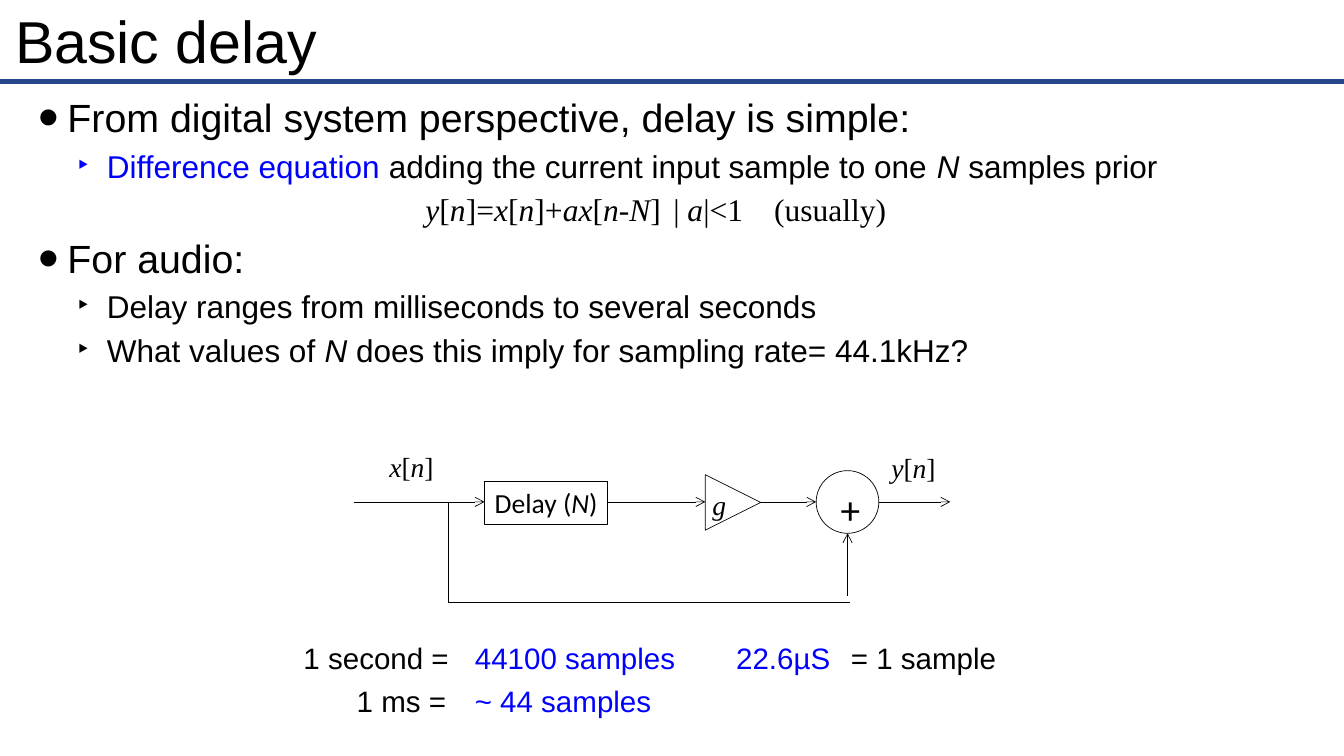
from lxml import etree
from pptx import Presentation
from pptx.dml.color import RGBColor
from pptx.enum.shapes import MSO_CONNECTOR, MSO_SHAPE
from pptx.enum.text import MSO_ANCHOR, PP_ALIGN
from pptx.oxml.ns import qn
from pptx.util import Pt

STRAIGHT = MSO_CONNECTOR.STRAIGHT
RECTANGLE, OVAL, TRIANGLE = MSO_SHAPE.RECTANGLE, MSO_SHAPE.OVAL, MSO_SHAPE.ISOSCELES_TRIANGLE
TOP, MIDDLE = MSO_ANCHOR.TOP, MSO_ANCHOR.MIDDLE
LEFT, CENTER = PP_ALIGN.LEFT, PP_ALIGN.CENTER
SANS, LABEL, MATH = "Arial", "Calibri", "Times New Roman"
BLACK, BLUE, NAVY = "000000", "0000FF", "254789"
TITLE_ONLY = 5

POINTS = [
    (0, [("From digital system perspective, delay is simple:", BLACK)]),
    (1, [("Difference equation", BLUE),
         (" adding the current input sample to one *N* samples prior", BLACK)]),
    (None, [("*y*[*n*]=*x*[*n*]+*ax*[*n*-*N*]\t| *a*|<1\t(usually)", BLACK)]),
    (0, [("For audio:", BLACK)]),
    (1, [("Delay ranges from milliseconds to several seconds", BLACK)]),
    (1, [("What values of *N* does this imply for sampling rate= 44.1kHz?", BLACK)]),
]
BULLETS = [("•", 35.3, 150, 28.1), ("‣", 63.4, 100, 22.5)]
EQUATION_START, EQUATION_TABS = 291, (540, 607)


def rgb(value):
    return RGBColor.from_string(value)


def add_spans(para, marked, font, size, color=BLACK):
    for index, text in enumerate(marked.split("*")):
        if text:
            span = para.add_run()
            span.text = text
            span.font.name = font
            span.font.size = Pt(size)
            span.font.italic = index % 2 == 1
            span.font.color.rgb = rgb(color)


def set_frame(frame, anchor, side, top, wrap):
    frame.vertical_anchor = anchor
    frame.word_wrap = wrap
    frame.margin_left = frame.margin_right = Pt(side)
    frame.margin_top = frame.margin_bottom = Pt(top)


def add_line(shapes, start, end, color=BLACK, width=0.5, arrow=False):
    line = shapes.add_connector(STRAIGHT, *[Pt(value) for value in (*start, *end)])
    line.line.color.rgb = rgb(color)
    line.line.width = Pt(width)
    properties = line._element.spPr
    if arrow:
        etree.SubElement(properties.find(qn("a:ln")), qn("a:tailEnd"), type="arrow")
    etree.SubElement(properties, qn("a:effectLst"))


def add_outline(shapes, kind, box):
    shape = shapes.add_shape(kind, *[Pt(value) for value in box])
    shape.shadow.inherit = False
    shape.fill.background()
    shape.line.color.rgb = rgb(BLACK)
    shape.line.width = Pt(0.5)
    return shape


def add_label(shapes, box, marked, font, size):
    label = shapes.add_textbox(*[Pt(value) for value in box])
    set_frame(label.text_frame, TOP, 7.2, 3.6, False)
    para = label.text_frame.paragraphs[0]
    para.alignment = CENTER
    add_spans(para, marked, font, size)


def build_title(page, box):
    left, top, width, height = box
    title = page.shapes.title
    title.left, title.top, title.width, title.height = [Pt(value) for value in box]
    set_frame(title.text_frame, MIDDLE, 4.3, 4.3, True)
    para = title.text_frame.paragraphs[0]
    para.alignment = LEFT
    add_spans(para, "Basic delay", SANS, 42.2)
    add_line(page.shapes, (0, top + height + 4.3), (960, top + height + 4.3), NAVY, 3)


def format_bullet(para, level):
    mark, indent, percent, _ = BULLETS[level]
    para.level = level
    properties = para._p.get_or_add_pPr()
    properties.set("marL", str(Pt(indent)))
    properties.set("indent", str(Pt(-21)))
    etree.SubElement(properties, qn("a:buSzPct"), val=str(percent * 1000))
    etree.SubElement(properties, qn("a:buFont"), typeface=SANS)
    etree.SubElement(properties, qn("a:buChar"), char=mark)


def format_equation(para):
    properties = para._p.get_or_add_pPr()
    properties.set("marL", "0")
    properties.set("indent", str(Pt(EQUATION_START)))
    tabs = etree.SubElement(properties, qn("a:tabLst"))
    for position in EQUATION_TABS:
        etree.SubElement(tabs, qn("a:tab"), pos=str(Pt(position)), algn="l")


def build_points(page, box):
    body = page.shapes.add_textbox(*[Pt(value) for value in box])
    frame = body.text_frame
    set_frame(frame, TOP, 4.3, 4.3, True)
    for index, (level, spans) in enumerate(POINTS):
        para = frame.add_paragraph() if index else frame.paragraphs[0]
        if level is None:
            format_equation(para)
            font, size = MATH, 22.5
        else:
            format_bullet(para, level)
            font, size = SANS, BULLETS[level][3]
        if index:
            para.space_before = Pt(4.2)
        for marked, color in spans:
            add_spans(para, marked, font, size, color)


def build_diagram(page, box):
    left, top, width, height = box
    shapes = page.shapes.add_group_shape().shapes
    axis = top + 41

    def place(x, y, wide, high):
        return left + x, top + y, wide, high

    add_outline(shapes, OVAL, place(330.2, 18.7, 44.8, 44.8))
    add_label(shapes, place(340.3, 25.2, 28.8, 41), "+", LABEL, 28.1)
    delay = add_outline(shapes, RECTANGLE, place(93.3, 26, 88, 31))
    set_frame(delay.text_frame, TOP, 7.2, 3.6, False)
    para = delay.text_frame.paragraphs[0]
    para.alignment = CENTER
    add_spans(para, "Delay (*N*)", LABEL, 19.7)
    add_outline(shapes, TRIANGLE, place(251, 21.6, 39.6, 39.6)).rotation = 90
    add_label(shapes, place(17.7, 0, 46.8, 31), "*x*[*n*]", MATH, 19.7)
    add_label(shapes, place(376.3, 1.2, 46.8, 31), "*y*[*n*]", MATH, 19.7)
    add_label(shapes, place(248.8, 27.4, 24.5, 31), "*g*", MATH, 19.7)

    for start, end in [(0, 93.3), (181.3, 251), (290.6, 330.2), (375, width)]:
        add_line(shapes, (left + start, axis), (left + end, axis), arrow=True)
    branch, bottom, rise = left + 67.4, top + height, left + 352.6
    add_line(shapes, (branch, axis), (branch, bottom))
    add_line(shapes, (branch, bottom), (rise + 2, bottom))
    add_line(shapes, (rise, bottom - 5), (rise, top + 63.5), arrow=True)


def build_conversions(page, box):
    left, top, _, height = box
    row = height / 2
    for x, line, width, text, color in [
        (0, 0, 111, "1 second =", BLACK),
        (38, 1, 71, "1 ms =", BLACK),
        (391, 0, 105, "= 1 sample", BLACK),
        (122.4, 0, 145, "44100 samples", BLUE),
        (122.4, 1, 127, "~ 44 samples", BLUE),
        (309, 0, 76, "22.6µS", BLUE),
    ]:
        cell = page.shapes.add_textbox(Pt(left + x), Pt(top + line * row), Pt(width), Pt(25.2))
        set_frame(cell.text_frame, MIDDLE, 0, 0, False)
        add_spans(cell.text_frame.paragraphs[0], text, SANS, 21.1, color)


def main():
    deck = Presentation()
    deck.slide_width, deck.slide_height = Pt(960), Pt(540)
    page = deck.slides.add_slide(deck.slide_layouts[TITLE_ONLY])
    build_title(page, (6.5, 3, 946, 51))
    build_points(page, (8.6, 62.6, 946, 473))
    build_diagram(page, (252.8, 317.5, 426, 113))
    build_conversions(page, (216.8, 457.2, 496, 61))
    deck.save("out.pptx")


if __name__ == "__main__":
    main()
